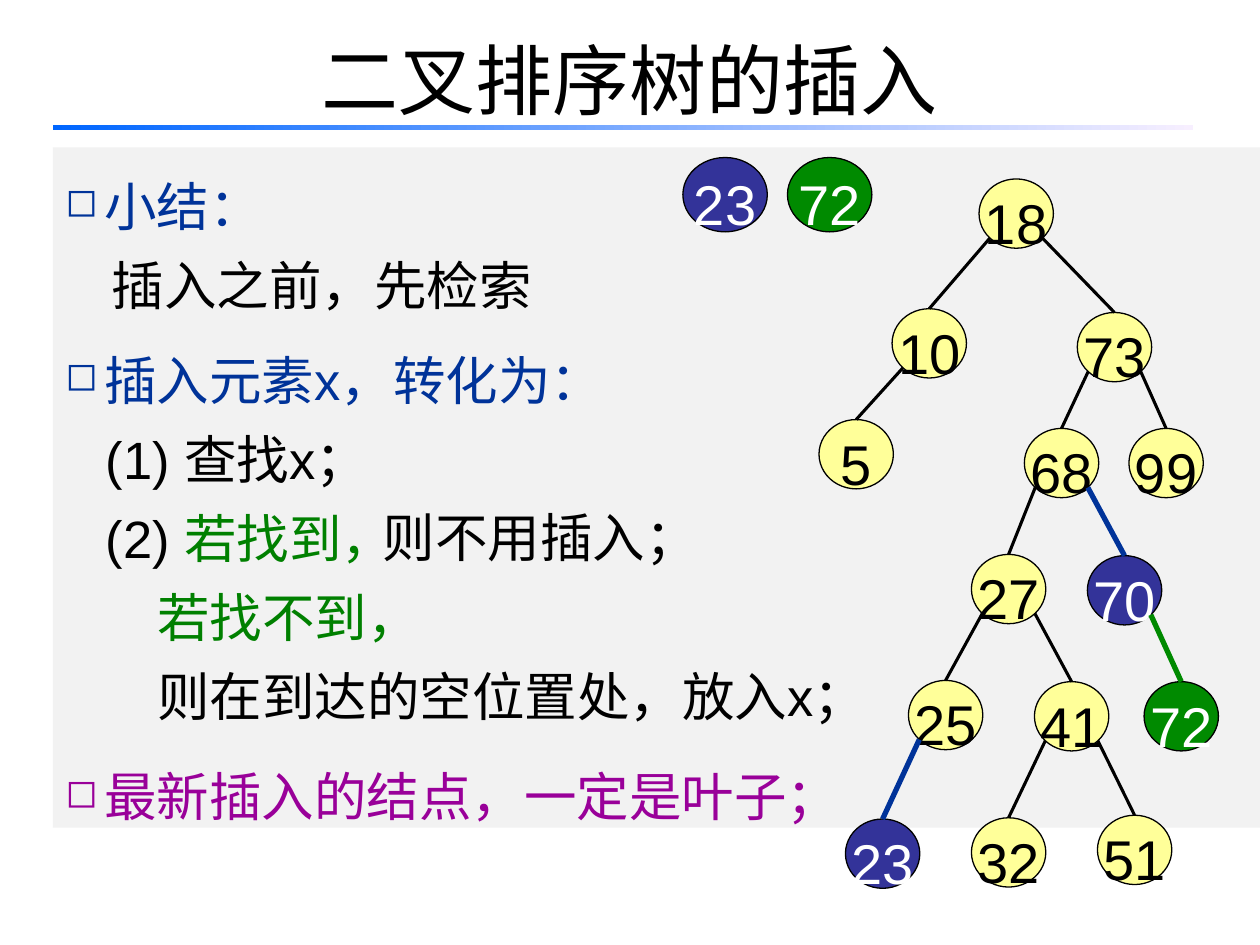
"""Slide on inserting keys into a binary search tree, with a summary and an example tree."""
from lxml.etree import SubElement
from pptx import Presentation
from pptx.dml.color import RGBColor
from pptx.enum.shapes import MSO_CONNECTOR, MSO_SHAPE
from pptx.enum.text import MSO_ANCHOR, PP_ALIGN
from pptx.oxml.ns import qn
from pptx.util import Emu, Inches, Pt

CJK = "Noto Sans CJK SC"
BLACK, WHITE, GREY = "000000", "FFFFFF", "F2F2F2"
BLUE, PURPLE, GREEN = "003399", "990099", "008000"
YELLOW, INDIGO, LEAF = "FFFF99", "333399", "008A00"

color = RGBColor.from_string
deck = Presentation()
deck.slide_width, deck.slide_height = Inches(10), Inches(7.5)
slide = deck.slides.add_slide(deck.slide_layouts[6])
shapes = slide.shapes
cell = deck.slide_width / 100


def grid(*cells):
    return [Emu(round(n * cell)) for n in cells]


def write(paragraph, text, size, hue, font="Arial"):
    run = paragraph.add_run()
    run.text = text
    run.font.size = Pt(size)
    run.font.name = font
    run.font.color.rgb = color(hue)
    SubElement(run._r.get_or_add_rPr(), qn("a:ea"), typeface=CJK)


panel = shapes.add_shape(MSO_SHAPE.RECTANGLE, *grid(4.2, 11.7, 95.8, 54))
panel.shadow.inherit = False
panel.fill.solid()
panel.fill.fore_color.rgb = color(GREY)
panel.line.fill.background()
summary = panel.text_frame
summary.word_wrap = True
summary.vertical_anchor = MSO_ANCHOR.TOP
summary.margin_top = Inches(0.08)

points = [
    (True, 3.1, 0, [("小结：", BLUE)]),
    (False, 3.7, 0, [("插入之前，先检索", BLACK)]),
    (True, 3.1, 9, [("插入元素x，转化为：", BLUE)]),
    (False, 3.2, 0, [("(1) 查找x；", BLACK)]),
    (False, 3.2, 0, [("(2) ", BLACK), ("若找到，", GREEN)]),
    (False, 7.3, 0, [("若找不到，", GREEN)]),
    (False, 7.3, 0, [("则在到达的空位置处，放入x；", BLACK)]),
    (True, 3.1, 12, [("最新插入的结点，一定是叶子；", PURPLE)]),
]
for row, (bulleted, indent, gap, pieces) in enumerate(points):
    point = summary.paragraphs[0] if row == 0 else summary.add_paragraph()
    point.alignment = PP_ALIGN.LEFT
    point.line_spacing = Pt(45.2)
    point.space_before = Pt(gap)
    margin = grid(indent)[0]
    properties = point._p.get_or_add_pPr()
    properties.set("marL", str(margin))
    properties.set("indent", str(-margin if bulleted else 0))
    if bulleted:
        SubElement(properties, qn("a:buSzPct"), val="75000")
        SubElement(properties, qn("a:buChar"), char="◻")
    for text, hue in pieces:
        write(point, text, 30, hue)

heading = shapes.add_textbox(*grid(5, 0, 90, 12.5)).text_frame
heading.word_wrap = True
heading.vertical_anchor = MSO_ANCHOR.MIDDLE
heading.paragraphs[0].alignment = PP_ALIGN.CENTER
write(heading.paragraphs[0], "二叉排序树的插入", 44, BLACK, CJK)

rule = shapes.add_shape(MSO_SHAPE.RECTANGLE, *grid(4.2, 9.9, 90.5, 0.4))
rule.shadow.inherit = False
rule.fill.gradient()
rule.fill.gradient_angle = 0
for stop, hue, position in zip(rule.fill.gradient_stops, ("0066FF", "F7EFFF"), (0, 1)):
    stop.color.rgb = color(hue)
    stop.position = position
rule.line.fill.background()

node_w, node_h = 5.9, 5.5
queue_w, queue_h = 6.7, 5.9
keys = [
    ("18", 77.7, 14.2, YELLOW), ("10", 70.8, 24.5, YELLOW), ("73", 85.5, 24.8, YELLOW),
    ("5", 65, 33.3, YELLOW), ("68", 81.3, 34, YELLOW), ("99", 89.6, 34, YELLOW),
    ("27", 77.1, 44, YELLOW), ("70", 86.3, 44.1, INDIGO), ("25", 72.1, 54, YELLOW),
    ("41", 82.1, 54.1, YELLOW), ("72", 90.8, 54.1, LEAF), ("23", 67.1, 65, INDIGO),
    ("32", 77.1, 64.9, YELLOW), ("51", 87.1, 64.7, YELLOW),
]
queued = [("23", 54.2, 12.5, INDIGO), ("72", 62.5, 12.5, LEAF)]
sized = [(*key, node_w, node_h) for key in keys] + [(*key, queue_w, queue_h) for key in queued]
tree = {}
for key, left, top, hue, width, height in sized:
    node = shapes.add_shape(MSO_SHAPE.OVAL, *grid(left, top, width, height))
    node.shadow.inherit = False
    node.fill.solid()
    node.fill.fore_color.rgb = color(hue)
    node.line.color.rgb = color(BLACK)
    node.line.width = Pt(0.75)
    label = node.text_frame
    label.word_wrap = False
    label.vertical_anchor = MSO_ANCHOR.MIDDLE
    label.paragraphs[0].alignment = PP_ALIGN.CENTER
    label.paragraphs[0].line_spacing = 1.25
    write(label.paragraphs[0], key, 32, BLACK if hue == YELLOW else WHITE)
    tree.setdefault(key, (left + node_w / 2, top))

edges = [
    ("18", "10", BLACK), ("18", "73", BLACK), ("10", "5", BLACK), ("73", "68", BLACK),
    ("73", "99", BLACK), ("68", "27", BLACK), ("27", "25", BLACK), ("27", "41", BLACK),
    ("41", "32", BLACK), ("41", "51", BLACK), ("68", "70", BLUE), ("25", "23", BLUE),
    ("70", "72", LEAF),
]
diagonal = 0.5 ** 0.5
for parent, child, hue in edges:
    parent_x, parent_top = tree[parent]
    child_x, child_top = tree[child]
    side = 1 if child_x > parent_x else -1
    start_x = parent_x + side * diagonal * node_w / 2
    start_y = parent_top + (1 + diagonal) * node_h / 2
    branch = shapes.add_connector(MSO_CONNECTOR.STRAIGHT, *grid(start_x, start_y, child_x, child_top))
    branch.line.color.rgb = color(hue)
    branch.line.width = Pt(1.75 if hue == BLACK else 3)
    SubElement(branch._element.spPr, qn("a:effectLst"))

outcome = shapes.add_textbox(*grid(29.4, 38.3, 27.3, 6.7)).text_frame
outcome.word_wrap = False
outcome.paragraphs[0].line_spacing = Pt(45.2)
write(outcome.paragraphs[0], "则不用插入；", 30, BLACK)

deck.save("out.pptx")
